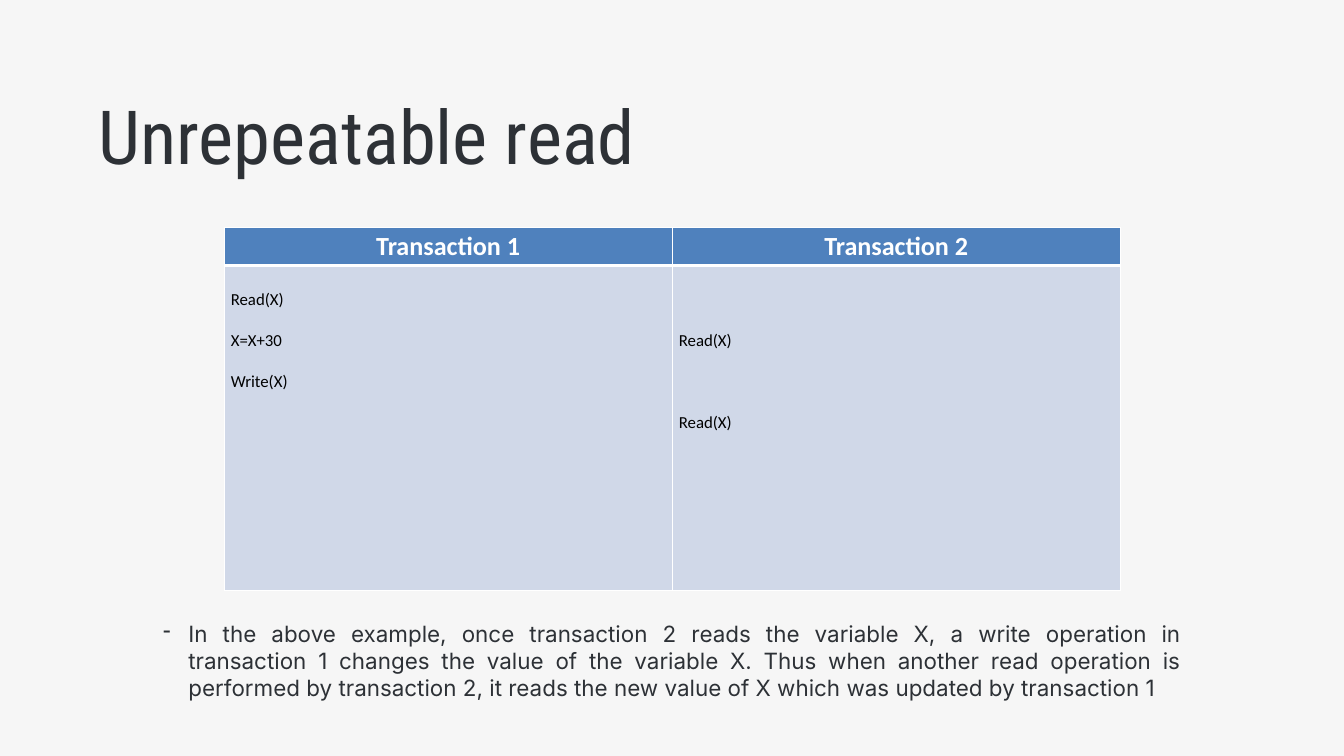
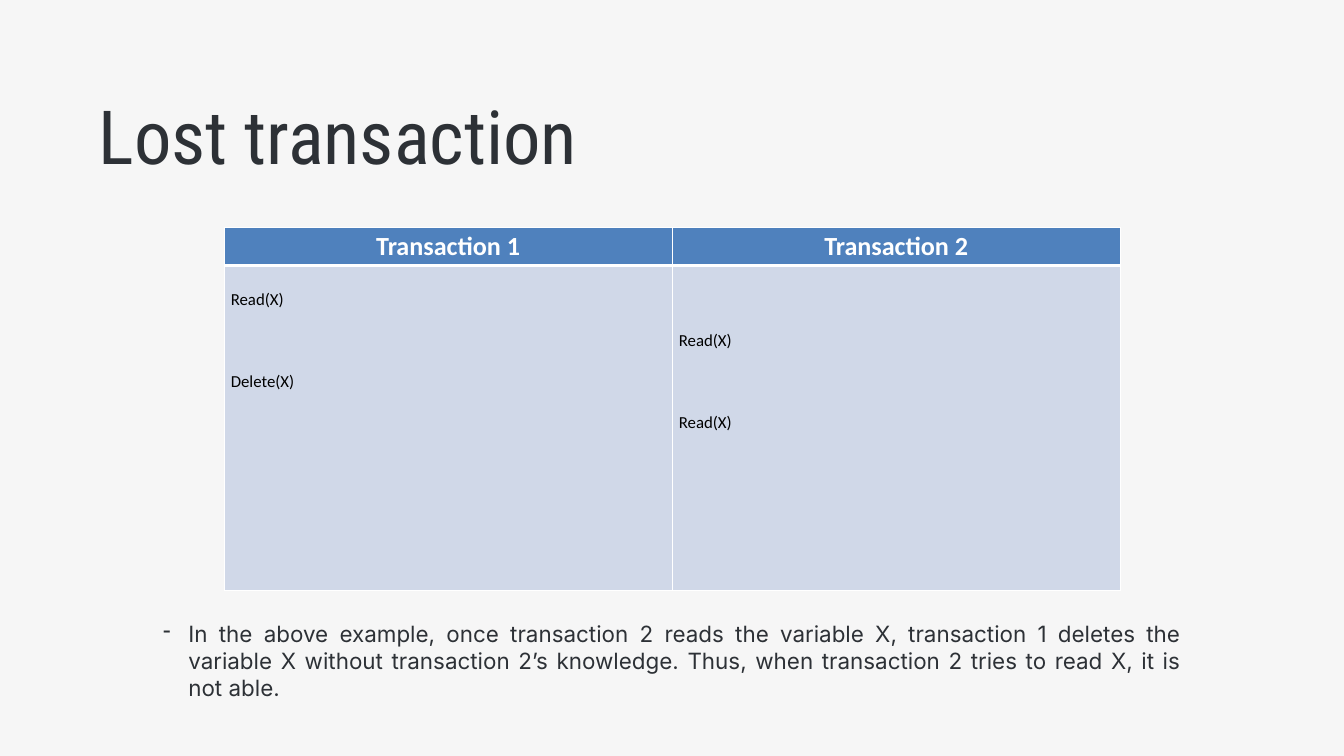
from lxml import etree
from pptx import Presentation
from pptx import util as u
from pptx.dml.color import RGBColor
from pptx.enum import text
from pptx.oxml import ns

PAPER = RGBColor(0xF6, 0xF6, 0xF6)
INK = RGBColor(0x2D, 0x31, 0x36)
BLACK = RGBColor(0, 0, 0)
WHITE = RGBColor(0xFF, 0xFF, 0xFF)
HEADER_BLUE = RGBColor(0x4F, 0x81, 0xBD)
BODY_BLUE = RGBColor(0xD0, 0xD8, 0xE8)

# Text formats
TITLE = {"name": "Roboto Condensed", "size": u.Pt(80), "color": INK}
HEADER = {"name": "Calibri", "size": u.Pt(28), "bold": True, "color": WHITE}
STEP = {"name": "Calibri", "size": u.Pt(18), "bold": False, "color": BLACK}
NOTE = {"name": "Inter", "size": u.Pt(24), "color": INK}

LINE = u.Pt(22)       # height of one time step in the table
INSET = u.Cm(0.13)    # top margin of a cell

# Each operation is paired with the time step at which it runs
SLIDES = [
    ("Unrepeatable read",
     [(1, "Read(X)"), (3, "X=X+30"), (5, "Write(X)")],
     "In the above example, once transaction 2 reads the variable X, a write "
     "operation in transaction 1 changes the value of the variable X. Thus when "
     "another read operation is performed by transaction 2, it reads the new "
     "value of X which was updated by transaction 1"),
    ("Lost transaction",
     [(1, "Read(X)"), (5, "Delete(X)")],
     "In the above example, once transaction 2 reads the variable X, transaction "
     "1 deletes the variable X without transaction 2’s knowledge. Thus, when "
     "transaction 2 tries to read X, it is not able."),
]
SECOND_READS = [(3, "Read(X)"), (7, "Read(X)")]


def write(p, words, style):
    r = p.add_run()
    r.text = words
    for key, value in style.items():
        if key == "color":
            r.font.color.rgb = value
        else:
            setattr(r.font, key, value)


def paint(cell, color, bottom):
    tcPr = cell._tc.get_or_add_tcPr()
    for side, width in {"L": 1, "R": 1, "T": 1, "B": bottom}.items():
        ln = etree.SubElement(tcPr, ns.qn(f"a:ln{side}"), w=str(u.Pt(width)))
        fill = etree.SubElement(ln, ns.qn("a:solidFill"))
        etree.SubElement(fill, ns.qn("a:srgbClr"), val=str(WHITE))
    cell.fill.solid()
    cell.fill.fore_color.rgb = color


prs = Presentation()
prs.slide_width, prs.slide_height = u.Cm(50.8), u.Cm(28.58)
background = prs.slide_master.background.fill
background.solid()
background.fore_color.rgb = PAPER

for title, first_steps, note in SLIDES:
    s = prs.slides.add_slide(prs.slide_layouts[6])

    # Title
    sp = s.shapes.add_textbox(u.Cm(3.48), u.Cm(3.25), u.Cm(33.35), u.Cm(3.68))
    tf = sp.text_frame
    tf.word_wrap = True
    tf.vertical_anchor = text.MSO_ANCHOR.MIDDLE
    write(tf.paragraphs[0], title, TITLE)

    # Schedule of the two transactions
    table = s.shapes.add_table(2, 2, u.Cm(8.47), u.Cm(8.58),
                               u.Cm(33.87), u.Cm(13.75)).table
    table.rows[0].height, table.rows[1].height = u.Cm(1.46), u.Cm(12.29)
    for col, steps in enumerate([first_steps, SECOND_READS]):
        cell = table.cell(0, col)
        paint(cell, HEADER_BLUE, 3)
        p = cell.text_frame.paragraphs[0]
        p.alignment = text.PP_ALIGN.CENTER
        write(p, f"Transaction {col + 1}", HEADER)

        cell = table.cell(1, col)
        paint(cell, BODY_BLUE, 1)
        cell.margin_top = INSET + steps[0][0] * LINE
        tf = cell.text_frame
        previous = None
        for time, operation in steps:
            if previous is None:
                p = tf.paragraphs[0]
            else:
                p = tf.add_paragraph()
                p.space_before = (time - previous - 1) * LINE
            write(p, operation, STEP)
            previous = time

    # Explanation with a dash as bullet
    sp = s.shapes.add_textbox(u.Cm(5.92), u.Cm(23.32), u.Cm(38.96), u.Cm(3.33))
    tf = sp.text_frame
    tf.word_wrap = True
    tf.auto_size = text.MSO_AUTO_SIZE.SHAPE_TO_FIT_TEXT
    p = tf.paragraphs[0]
    p.alignment = text.PP_ALIGN.JUSTIFY
    pPr = p._p.get_or_add_pPr()
    pPr.set("marL", str(u.Cm(0.95)))
    pPr.set("indent", str(-u.Cm(0.95)))
    etree.SubElement(pPr, ns.qn("a:buChar"), char="-")
    write(p, note, NOTE)

prs.save("out.pptx")
